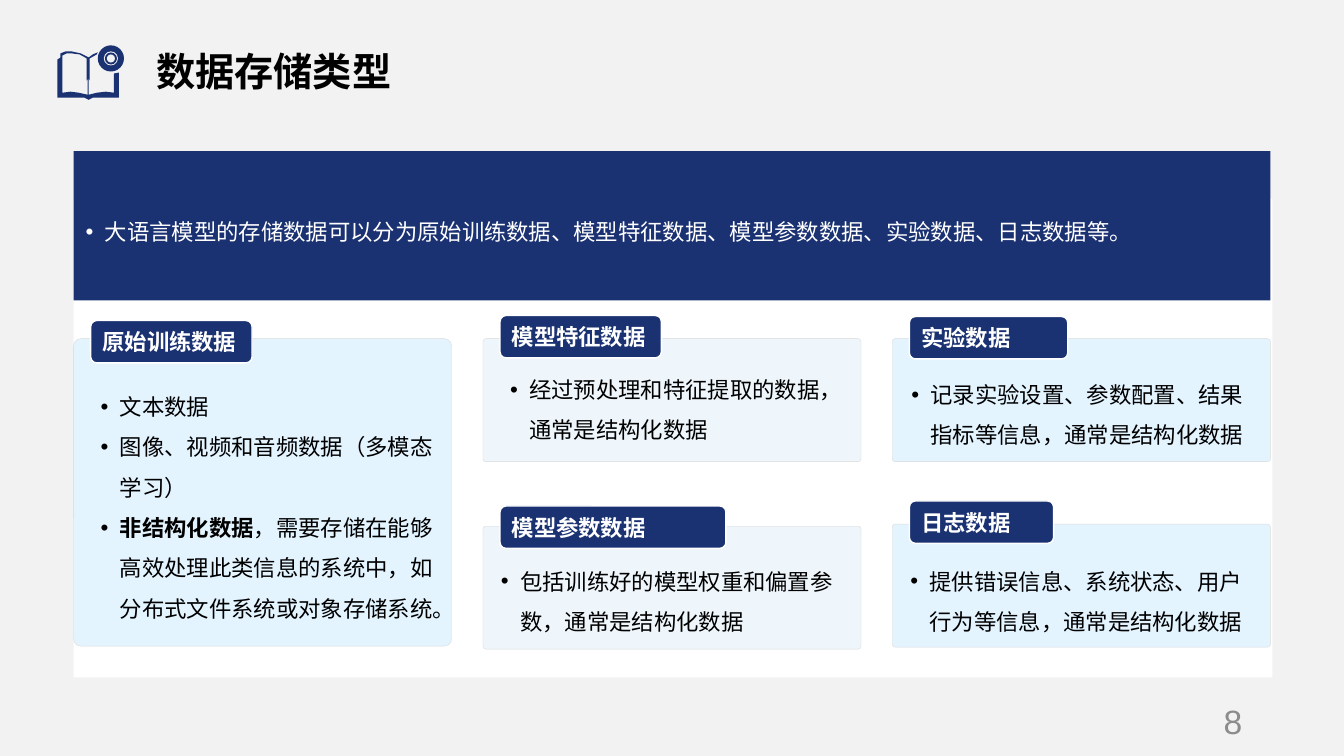
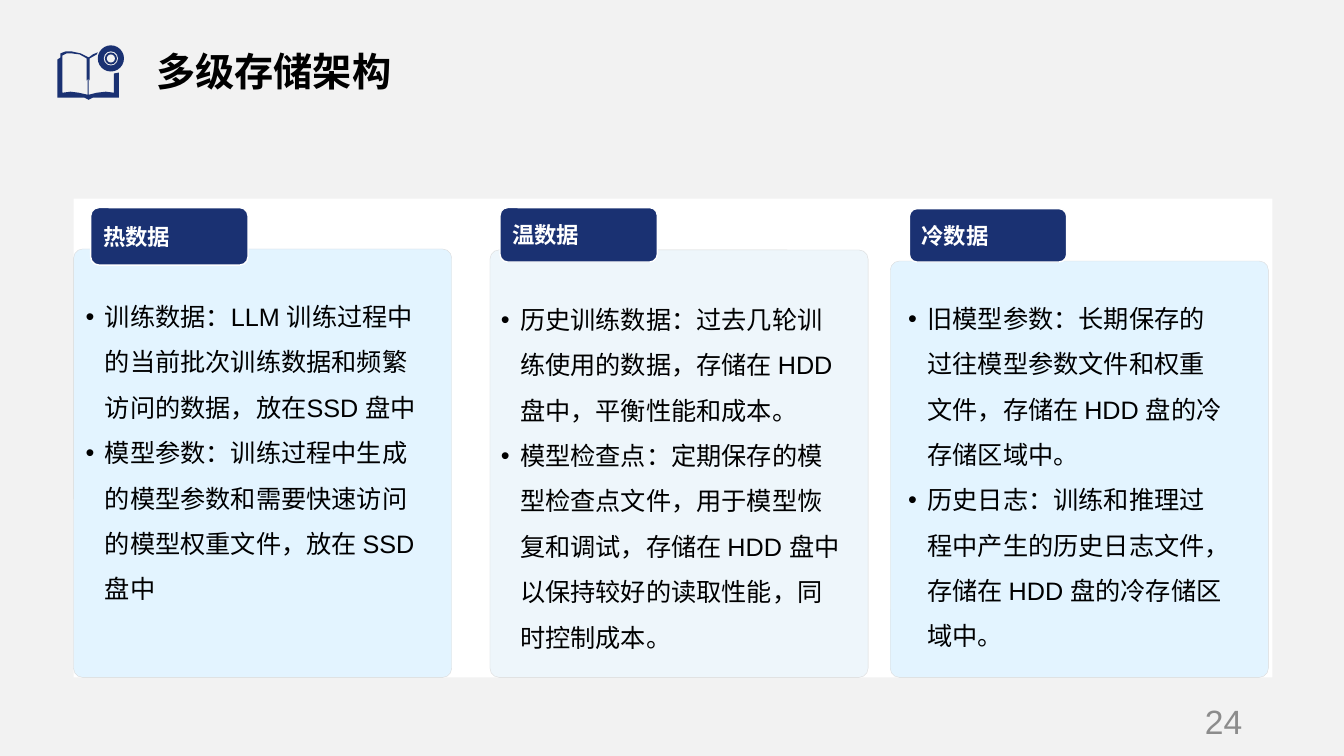
from lxml import etree
from pptx import Presentation
from pptx.dml.color import RGBColor
from pptx.enum.shapes import MSO_SHAPE
from pptx.enum.text import MSO_ANCHOR, MSO_AUTO_SIZE, PP_ALIGN
from pptx.oxml.ns import qn
from pptx.util import Inches, Pt

RECT, ROUND, OVAL = MSO_SHAPE.RECTANGLE, MSO_SHAPE.ROUNDED_RECTANGLE, MSO_SHAPE.OVAL
TOP, MIDDLE, BOTTOM = MSO_ANCHOR.TOP, MSO_ANCHOR.MIDDLE, MSO_ANCHOR.BOTTOM
LEFT, RIGHT = PP_ALIGN.LEFT, PP_ALIGN.RIGHT
NO_FIT = MSO_AUTO_SIZE.NONE

NAVY = RGBColor(0x1A, 0x31, 0x72)
WHITE = RGBColor(0xFF, 0xFF, 0xFF)
BLACK = RGBColor(0x00, 0x00, 0x00)
PAPER = RGBColor(0xF2, 0xF2, 0xF2)
SKY = RGBColor(0xBA, 0xE5, 0xFF)
MIST = RGBColor(0xD6, 0xE9, 0xF5)
EDGE = RGBColor(0xD9, 0xD9, 0xD9)
GREY = RGBColor(0x8C, 0x8C, 0x8C)
FONT = "Arial"

# Grid in inches: three columns of cards, with a tab set in from each column
COL_X, COL_STEP, CARD_W = 0.73, 4.06, 3.75
TAB_IN = 0.17
CARD_FILLS = [SKY, MIST, SKY]

# Card: column, (shift, top, height), tab (top, width, height),
#       list (shift, top, width, height), paragraphs; ** marks bold
SLIDES = [
    {
        "title": "数据存储类型", "number": "8", "size": 16,
        "intro": "大语言模型的存储数据可以分为原始训练数据、模型特征数据、模型参数数据、实验数据、日志数据等。",
        "cards": [
            (0, (0, 3.36, 3.05), (3.18, 1.6, 0.42), (0.17, 3.72, 3.59, 2.7), "原始训练数据",
             ["文本数据",
              "图像、视频和音频数据（多模态学习）",
              "**非结构化数据**，需要存储在能够高效处理此类信息的系统中，如分布式文件系统或对象存储系统。"]),
            (1, (0, 3.36, 1.22), (3.13, 1.6, 0.42), (0.17, 3.55, 3.59, 0.89), "模型特征数据",
             ["经过预处理和特征提取的数据，通常是结构化数据"]),
            (2, (0, 3.36, 1.22), (3.14, 1.57, 0.42), (0.09, 3.6, 3.59, 0.89), "实验数据",
             ["记录实验设置、参数配置、结果指标等信息，通常是结构化数据"]),
            (1, (0, 5.22, 1.22), (5.02, 2.24, 0.42), (0.08, 5.45, 3.59, 0.89), "模型参数数据",
             ["包括训练好的模型权重和偏置参数，通常是结构化数据"]),
            (2, (0, 5.2, 1.22), (4.97, 1.43, 0.42), (0.08, 5.45, 3.59, 0.89), "日志数据",
             ["提供错误信息、系统状态、用户行为等信息，通常是结构化数据"]),
        ],
    },
    {
        "title": "多级存储架构", "number": "24", "size": 18, "intro": None,
        "cards": [
            (0, (0, 2.47, 4.25), (2.06, 1.56, 0.57), (0.02, 2.79, 3.59, 2.46), "热数据",
             ["训练数据：LLM 训练过程中的当前批次训练数据和频繁访问的数据，放在SSD 盘中",
              "模型参数：训练过程中生成的模型参数和需要快速访问的模型权重文件，放在 SSD 盘中"]),
            (1, (0.07, 2.48, 4.24), (2.06, 1.56, 0.54), (0.08, 2.82, 3.59, 2.46), "温数据",
             ["历史训练数据：过去几轮训练使用的数据，存储在 HDD 盘中，平衡性能和成本。",
              "模型检查点：定期保存的模型检查点文件，用于模型恢复和调试，存储在 HDD 盘中以保持较好的读取性能，同时控制成本。"]),
            (2, (-0.02, 2.59, 4.13), (2.07, 1.56, 0.53), (0.06, 2.81, 3.33, 2.46), "冷数据",
             ["旧模型参数：长期保存的过往模型参数文件和权重文件，存储在 HDD 盘的冷存储区域中。",
              "历史日志：训练和推理过程中产生的历史日志文件，存储在 HDD 盘的冷存储区域中。"]),
        ],
    },
]


def add_box(slide, kind, at, fill, line=None, width=1, corner=None, alpha=None):
    sp = slide.shapes.add_shape(kind, *map(Inches, at))
    sp.shadow.inherit = False
    sp.fill.solid()
    sp.fill.fore_color.rgb = fill
    if alpha:
        color = sp.fill._xPr.find(".//" + qn("a:srgbClr"))
        etree.SubElement(color, qn("a:alpha")).set("val", str(alpha * 1000))
    if line is None:
        sp.line.fill.background()
    else:
        sp.line.color.rgb = line
        sp.line.width = Pt(width)
    if corner:
        sp.adjustments[0] = corner
    return sp


def add_text(sp, paragraphs, size, color, anchor=TOP, align=LEFT, bold=False,
             bullets=False, spacing=None):
    tf = sp.text_frame
    tf.auto_size = NO_FIT
    tf.word_wrap = True
    tf.vertical_anchor = anchor
    for i, text in enumerate(paragraphs):
        p = tf.add_paragraph() if i else tf.paragraphs[0]
        p.alignment = align
        p.space_before = Pt(0)
        if spacing:
            p.line_spacing = spacing
        if bullets:
            pPr = p._p.get_or_add_pPr()
            pPr.set("marL", str(Inches(0.19)))
            pPr.set("indent", str(-Inches(0.19)))
            etree.SubElement(pPr, qn("a:buFont")).set("typeface", FONT)
            etree.SubElement(pPr, qn("a:buChar")).set("char", "•")
        for j, part in enumerate(text.split("**")):
            if part:
                r = p.add_run()
                r.text = part
                r.font.name = FONT
                r.font.size = Pt(size)
                r.font.bold = bold or j % 2 == 1
                r.font.color.rgb = color


prs = Presentation()
prs.slide_width, prs.slide_height = Inches(13.33), Inches(7.5)

# Shared background and title place
background = prs.slide_master.background.fill
background.solid()
background.fore_color.rgb = PAPER
layout = prs.slide_layouts[1]
for ph in list(layout.placeholders):
    if ph.placeholder_format.idx == 0:
        ph.left, ph.top, ph.width, ph.height = map(Inches, (1.45, 0.26, 11.87, 0.73))
    elif ph.placeholder_format.idx > 1:
        ph.element.getparent().remove(ph.element)

slides = [prs.slides.add_slide(layout) for _ in SLIDES]

# Shared icon: an open book (hundredths of an inch) and a disc, moved to the layout
cover = [(71, 51), (80, 53), (88, 57), (92, 54), (97, 52), (96, 54), (89, 58), (89, 80),
         (88, 78), (88, 94), (96, 92), (105, 91), (113, 92), (113, 73), (118, 72), (118, 97),
         (92, 97), (88, 99), (84, 97), (57, 97), (57, 59), (60, 57), (60, 53), (65, 51)]
page = [(71, 53), (66, 53), (62, 55), (62, 92), (70, 91), (78, 92), (87, 94), (87, 78),
        (86, 80), (86, 58), (79, 54)]
outline = slides[0].shapes.build_freeform(*cover[0], scale=Inches(0.01))
outline.add_line_segments(cover[1:])
outline.move_to(*page[0])
outline.add_line_segments(page[1:])
book = outline.convert_to_shape()
book.shadow.inherit = False
book.fill.solid()
book.fill.fore_color.rgb = NAVY
book.line.fill.background()
icon = [book]
for radius, fill in [(0.13, NAVY), (0.07, PAPER), (0.06, NAVY), (0.04, PAPER)]:
    at = (1.1 - radius, 0.58 - radius, 2 * radius, 2 * radius)
    icon.append(add_box(slides[0], OVAL, at, fill))
for sp in icon:
    layout.shapes.element.append(sp.element)

for slide, content in zip(slides, SLIDES):
    # Title, white panel and page number
    add_text(slide.shapes.title, [content["title"]], 28, BLACK, BOTTOM, bold=True, spacing=0.9)
    add_box(slide, RECT, (COL_X, 1.97, 11.89, 4.75), WHITE)
    number = slide.shapes.add_textbox(*map(Inches, (9.42, 6.95, 3, 0.4)))
    add_text(number, [content["number"]], 24, GREY, MIDDLE, RIGHT)

    # Cards with their tabs
    lists = []
    for col, (shift, top, height), (tab_top, tab_w, tab_h), place, label, items in content["cards"]:
        x = COL_X + col * COL_STEP
        add_box(slide, ROUND, (x + shift, top, CARD_W, height), CARD_FILLS[col],
                EDGE, 0.25, 0.024, 40)
        tab = add_box(slide, ROUND, (x + TAB_IN, tab_top, tab_w, tab_h), NAVY, WHITE, 1, 0.142)
        add_text(tab, [label], 16, WHITE, MIDDLE, bold=True)
        lists.append(((x + place[0], *place[1:]), items, BLACK, TOP))

    # Introductory band
    if content["intro"]:
        add_box(slide, RECT, (COL_X, 1.5, 11.87, 1.48), NAVY)
        lists.insert(0, ((0.75, 1.5, 11.85, 1.47), [content["intro"]], WHITE, MIDDLE))

    # Lists: the first one fills the body placeholder, brought to the front
    for i, (at, items, color, anchor) in enumerate(lists):
        if i:
            sp = slide.shapes.add_textbox(*map(Inches, at))
        else:
            sp = slide.placeholders[1]
            sp.left, sp.top, sp.width, sp.height = map(Inches, at)
            slide.shapes.element.append(sp.element)
        add_text(sp, items, content["size"], color, anchor, bullets=True, spacing=1.5)

prs.save("out.pptx")
